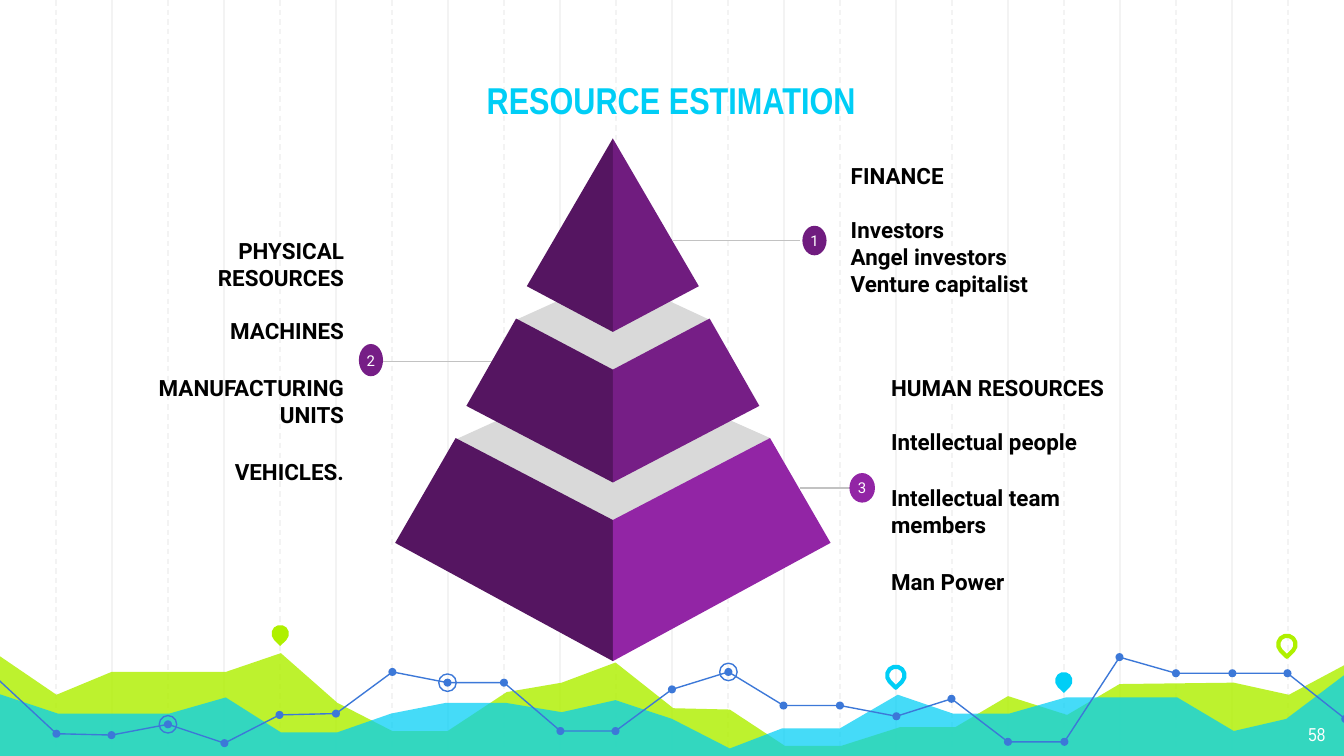
"""Build the resource estimation slide: a three-tier pyramid with callouts over a chart-like footer."""
from lxml.etree import SubElement
from pptx import Presentation
from pptx.dml.color import RGBColor
from pptx.enum.dml import MSO_LINE
from pptx.enum.shapes import MSO_CONNECTOR, MSO_SHAPE
from pptx.enum.text import MSO_ANCHOR, MSO_AUTO_SIZE, PP_ALIGN
from pptx.oxml.ns import qn
from pptx.util import Inches, Pt

COLORS = {
    "grid": "F3F3F3", "lead": "C2C2C2", "lime": "AFF000", "cyan": "00CEF6",
    "blue": "3C78D8", "top": "701C7F", "middle": "761E86", "bottom": "9225A5",
    "shade": "551561", "ledge": "D9D9D9", "white": "FFFFFF", "black": "000000",
}


def paint(shape, fill=None, line=None, width=0.75):
    shape.shadow.inherit = False
    if fill:
        shape.fill.solid()
        shape.fill.fore_color.rgb = RGBColor.from_string(COLORS[fill])
    else:
        shape.fill.background()
    if line:
        shape.line.color.rgb = RGBColor.from_string(COLORS[line])
        shape.line.width = Pt(width)
    else:
        shape.line.fill.background()


def trace(points, fill=None, line=None):
    corners = [(Inches(x), Inches(y)) for x, y in points]
    builder = slide.shapes.build_freeform(*corners[0])
    builder.add_line_segments(corners[1:], close=bool(fill))
    outline = builder.convert_to_shape()
    paint(outline, fill, line)
    return outline


prs = Presentation()
prs.slide_width, prs.slide_height = Inches(10), Inches(10 * 9 / 16)
slide = prs.slides.add_slide(prs.slide_layouts.get_by_name("Comparison"))
shapes = slide.shapes

solid = [(10 * i / 12, 0, 10 * i / 12, 5.65, "grid", None) for i in range(1, 12)]
dashed = [(10 * (i + 0.5) / 12, 0, 10 * (i + 0.5) / 12, 5.65, "grid", MSO_LINE.DASH) for i in range(12)]
leads = [
    (5.01, 1.79, 5.95, 1.79, "lead", None),
    (3.69, 2.69, 2.73, 2.69, "lead", None),
    (5.95, 3.63, 6.51, 3.63, "lead", None),
]
for x1, y1, x2, y2, color, dash in solid + dashed + leads:
    rule = shapes.add_connector(MSO_CONNECTOR.STRAIGHT, Inches(x1), Inches(y1), Inches(x2), Inches(y2))
    rule.line.color.rgb = RGBColor.from_string(COLORS[color])
    rule.line.width = Pt(0.75)
    if dash:
        rule.line.dash_style = dash
    SubElement(rule._element.spPr, qn("a:effectLst"))

lime_wave = [
    (-0.02, 4.87), (0.42, 5.17), (0.83, 5), (1.68, 5), (2.09, 4.86), (2.51, 5.23), (2.92, 5.44),
    (3.33, 5.44), (3.77, 5.15), (4.18, 5.08), (4.58, 4.93), (5.01, 5.27), (5.43, 5.28), (5.84, 5.55),
    (6.26, 5.55), (6.7, 5.41), (7.11, 5.41), (7.5, 5.18), (7.94, 5.32), (8.33, 5.09), (9.18, 5.08),
    (9.59, 5.17), (10.02, 4.94), (10.01, 5.64), (-0.03, 5.64),
]
cyan_wave = [
    (-0.02, 5.16), (0.43, 5.31), (1.26, 5.31), (1.68, 5.19), (2.09, 5.45), (2.51, 5.45), (2.91, 5.31),
    (3.32, 5.23), (3.76, 5.23), (4.18, 5.3), (4.58, 5.21), (5, 5.35), (5.43, 5.57), (5.82, 5.42),
    (6.25, 5.42), (6.68, 5.17), (7.09, 5.31), (7.51, 5.31), (7.93, 5.19), (8.76, 5.19), (9.18, 5.44),
    (9.57, 5.35), (10.02, 5.01), (10.02, 5.65), (-0.03, 5.65),
]
for points, color, opacity in [(lime_wave, "lime", 82), (cyan_wave, "cyan", 73)]:
    wave = trace(points, color)
    tint = wave._element.spPr.find(qn("a:solidFill"))[0]
    SubElement(tint, qn("a:alpha"), val=str(opacity * 1000))

trend = [
    (-0.01, 5.06), (0.42, 5.46), (0.83, 5.47), (1.25, 5.39), (1.67, 5.53), (2.08, 5.32), (2.5, 5.31),
    (2.92, 5), (3.33, 5.08), (3.75, 5.08), (4.17, 5.44), (4.58, 5.44), (5, 5.13), (5.42, 5),
    (5.83, 5.25), (6.25, 5.25), (6.67, 5.33), (7.08, 5.2), (7.5, 5.52), (7.92, 5.52), (8.33, 4.89),
    (8.75, 5.01), (9.17, 5.01), (9.58, 5.01), (10.01, 5.35),
]
for first, last in [(0, 11), (11, 20), (20, 24)]:
    trace(trend[first:last + 1], line="blue")

dots = [(x, y, 0.06, "blue", None) for x, y in trend[1:]]
rings = [(*trend[i], 0.13, None, "blue") for i in (3, 8, 13)]
for x, y, size, fill, line in dots + rings:
    marker = shapes.add_shape(MSO_SHAPE.OVAL, Inches(x - size / 2), Inches(y - size / 2), Inches(size), Inches(size))
    paint(marker, fill, line)

for x, y, fill, line in [
    (2.02, 4.65, "lime", None), (6.6, 4.96, None, "cyan"),
    (7.85, 5, "cyan", None), (9.51, 4.73, None, "lime"),
]:
    pin = shapes.add_shape(MSO_SHAPE.TEAR, Inches(x), Inches(y), Inches(0.13), Inches(0.13))
    pin.rotation = 135
    paint(pin, fill, line, 2.25)

for number, color, x, y, width, height in [
    ("1", "top", 5.97, 1.68, 0.18, 0.22),
    ("2", "middle", 2.67, 2.56, 0.18, 0.24),
    ("3", "bottom", 6.32, 3.52, 0.19, 0.22),
]:
    badge = shapes.add_shape(MSO_SHAPE.OVAL, Inches(x), Inches(y), Inches(width), Inches(height))
    paint(badge, color)
    frame = badge.text_frame
    frame.margin_left = frame.margin_right = frame.margin_top = frame.margin_bottom = 0
    frame.vertical_anchor = MSO_ANCHOR.MIDDLE
    frame.word_wrap = False
    frame.text = number
    frame.paragraphs[0].alignment = PP_ALIGN.CENTER
    font = frame.paragraphs[0].runs[0].font
    font.name, font.size = "Roboto", Pt(8)
    font.color.rgb = RGBColor.from_string(COLORS["white"])

for color, points in [
    ("ledge", [(3.39, 3.27), (4.56, 3.88), (5.73, 3.26), (4.56, 2.74)]),
    ("shade", [(3.39, 3.26), (2.94, 4.04), (4.56, 4.92), (4.56, 3.87)]),
    ("bottom", [(5.73, 3.26), (6.18, 4.04), (4.56, 4.92), (4.56, 3.87)]),
    ("ledge", [(3.84, 2.38), (4.56, 2.75), (5.28, 2.38), (4.57, 2.05)]),
    ("shade", [(3.84, 2.37), (4.56, 2.75), (4.56, 3.59), (3.47, 3.02)]),
    ("middle", [(5.28, 2.37), (4.56, 2.75), (4.56, 3.59), (5.65, 3.02)]),
    ("shade", [(4.56, 1.03), (3.92, 2.13), (4.56, 2.47)]),
    ("top", [(4.56, 1.03), (5.2, 2.13), (4.56, 2.47)]),
]:
    trace(points, color)

title, finance, physical, human, spare = list(slide.placeholders)
spare._element.getparent().remove(spare._element)
page_number = shapes.add_textbox(0, 0, 0, 0)
left, center, right = PP_ALIGN.LEFT, PP_ALIGN.CENTER, PP_ALIGN.RIGHT
top, middle, bottom = MSO_ANCHOR.TOP, MSO_ANCHOR.MIDDLE, MSO_ANCHOR.BOTTOM

for block, box, align, anchor, foot, face, size, color, bold, lines in [
    (title, (1.17, 0.23, 7.65, 0.78), center, bottom, 0.1, "Arial Narrow", 20, "cyan", True,
     [("RESOURCE ESTIMATION", 0)]),
    (page_number, (9.36, 5.28, 0.6, 0.35), right, top, 0.1, "Arial Narrow", 10, "white", False,
     [("58", 0)]),
    (finance, (6.23, 1.02, 2.09, 1.51), left, middle, 0.23, "Roboto", 12, "black", True,
     [("FINANCE", 0), ("Investors", 14.4), ("Angel investors", 0), ("Venture capitalist", 0)]),
    (physical, (0.94, 1.86, 1.72, 1.65), right, middle, 0.1, "Roboto", 12, "black", True,
     [("PHYSICAL RESOURCES", 0), ("MACHINES", 14.4), ("MANUFACTURING UNITS", 16), ("VEHICLES.", 16)]),
    (human, (6.53, 2.85, 1.79, 1.51), left, middle, 0.1, "Roboto", 12, "black", True,
     [("HUMAN RESOURCES", 0), ("Intellectual people", 14.4), ("Intellectual team members", 16), ("Man Power", 16)]),
]:
    block.left, block.top, block.width, block.height = map(Inches, box)
    shapes._spTree.append(block._element)
    frame = block.text_frame
    frame.word_wrap = True
    frame.auto_size = MSO_AUTO_SIZE.NONE
    frame.vertical_anchor = anchor
    frame.margin_left = frame.margin_right = frame.margin_top = Inches(0.1)
    frame.margin_bottom = Inches(foot)
    frame.text = "\n".join(text for text, gap in lines)
    for paragraph, (text, gap) in zip(frame.paragraphs, lines):
        properties = paragraph._p.get_or_add_pPr()
        properties.set("marL", "0")
        properties.set("indent", "0")
        SubElement(properties, qn("a:buNone"))
        paragraph.alignment = align
        paragraph.space_before, paragraph.space_after = Pt(gap), Pt(0)
        font = paragraph.runs[0].font
        font.name, font.size, font.bold = face, Pt(size), bold
        font.color.rgb = RGBColor.from_string(COLORS[color])

prs.save("out.pptx")
